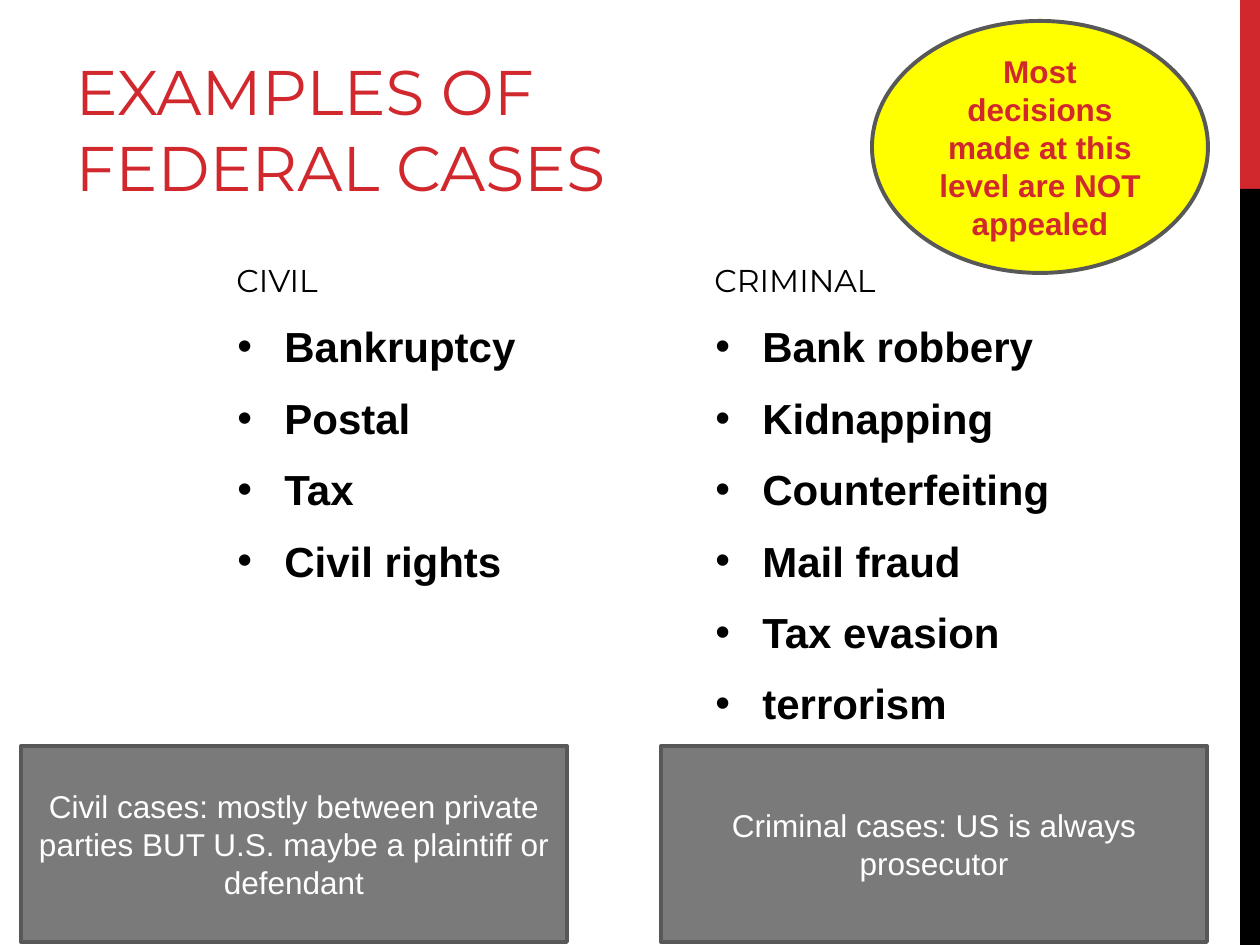
from pptx import Presentation
from pptx.dml.color import RGBColor
from pptx.enum.shapes import MSO_SHAPE
from pptx.enum.text import MSO_ANCHOR, MSO_AUTO_SIZE, PP_ALIGN
from pptx.oxml.ns import qn
from pptx.util import Emu, Pt
from lxml.etree import SubElement

RED = RGBColor(0xD1, 0x28, 0x2E)
BLACK = RGBColor(0, 0, 0)
WHITE = RGBColor(255, 255, 255)
YELLOW = RGBColor(255, 255, 0)
GRAY = RGBColor(0x7A, 0x7A, 0x7A)
DARK_GRAY = RGBColor(0x58, 0x58, 0x58)

TITLE = "EXAMPLES OF FEDERAL CASES"
COLUMNS = [
    ("CIVIL", ["Bankruptcy", "Postal", "Tax", "Civil rights"]),
    ("CRIMINAL", ["Bank robbery", "Kidnapping", "Counterfeiting",
                  "Mail fraud", "Tax evasion", "terrorism"]),
]
NOTES = [
    "Civil cases: mostly between private parties BUT U.S. maybe a plaintiff or defendant",
    "Criminal cases: US is always prosecutor",
]
CALLOUT = "Most decisions made at this level are NOT appealed"
SIDE_BARS = [(0, 189, RED), (189, 756, BLACK)]

WIDTH, HEIGHT = 1260, 945
COLUMN_LEFT, COLUMN_STEP, COLUMN_WIDTH = 224, 478, 454
NOTE_LEFT, NOTE_STEP = 21, 640


def px(length):
    return Emu(round(length * 914400 / 126))


def place(*lengths):
    return [px(length) for length in lengths]


def set_text(shape, lines, font, size, color, bold=False,
             anchor=MSO_ANCHOR.TOP, align=PP_ALIGN.LEFT):
    frame = shape.text_frame
    frame.text = "\n".join(lines)
    frame.word_wrap = True
    frame.auto_size = MSO_AUTO_SIZE.NONE
    frame.vertical_anchor = anchor
    for paragraph in frame.paragraphs:
        paragraph.alignment = align
        for span in paragraph.runs:
            span.font.name = font
            span.font.size = Pt(size)
            span.font.bold = bold
            span.font.color.rgb = color
    return frame


def add_bullets(frame):
    for index, paragraph in enumerate(frame.paragraphs):
        if index:
            paragraph.space_before = Pt(12)
        properties = paragraph._p.get_or_add_pPr()
        properties.set("marL", str(px(48)))
        properties.set("indent", str(-px(47)))
        SubElement(properties, qn("a:buFont"), typeface="Arial")
        SubElement(properties, qn("a:buChar"), char="•")


def add_panel(page, kind, bounds, fill, line=None):
    panel = page.shapes.add_shape(kind, *place(*bounds))
    panel.shadow.inherit = False
    panel.fill.solid()
    panel.fill.fore_color.rgb = fill
    if line is None:
        panel.line.fill.background()
    else:
        panel.line.color.rgb = line
        panel.line.width = Pt(2.25)
    return panel


def main():
    deck = Presentation()
    deck.slide_width, deck.slide_height = place(WIDTH, HEIGHT)
    page = deck.slides.add_slide(deck.slide_layouts[5])

    for top, height, color in SIDE_BARS:
        add_panel(page, MSO_SHAPE.RECTANGLE, (1240, top, 20, height), color)

    title = page.shapes.title
    title.left, title.top, title.width, title.height = place(63, 21, 798, 189)
    frame = set_text(title, [TITLE], "Montserrat", 36, RED, anchor=MSO_ANCHOR.BOTTOM)
    frame.margin_right = px(40)

    for index, (heading, cases) in enumerate(COLUMNS):
        left = COLUMN_LEFT + index * COLUMN_STEP
        box = page.shapes.add_textbox(*place(left, 217, COLUMN_WIDTH, 88))
        set_text(box, [heading], "Montserrat", 18, BLACK, anchor=MSO_ANCHOR.BOTTOM)
        box = page.shapes.add_textbox(*place(left, 311, COLUMN_WIDTH, 529))
        frame = set_text(box, cases, "Arial", 24, BLACK, bold=True)
        frame.margin_top = px(10)
        add_bullets(frame)

    for index, note in enumerate(NOTES):
        bounds = (NOTE_LEFT + index * NOTE_STEP, 746, 546, 196)
        panel = add_panel(page, MSO_SHAPE.RECTANGLE, bounds, GRAY, DARK_GRAY)
        set_text(panel, [note], "Arial", 18, WHITE,
                 anchor=MSO_ANCHOR.MIDDLE, align=PP_ALIGN.CENTER)

    oval = add_panel(page, MSO_SHAPE.OVAL, (872, 21, 336, 252), YELLOW, DARK_GRAY)
    set_text(oval, [CALLOUT], "Arial", 18, RED, bold=True,
             anchor=MSO_ANCHOR.MIDDLE, align=PP_ALIGN.CENTER)

    deck.save("out.pptx")


if __name__ == "__main__":
    main()
